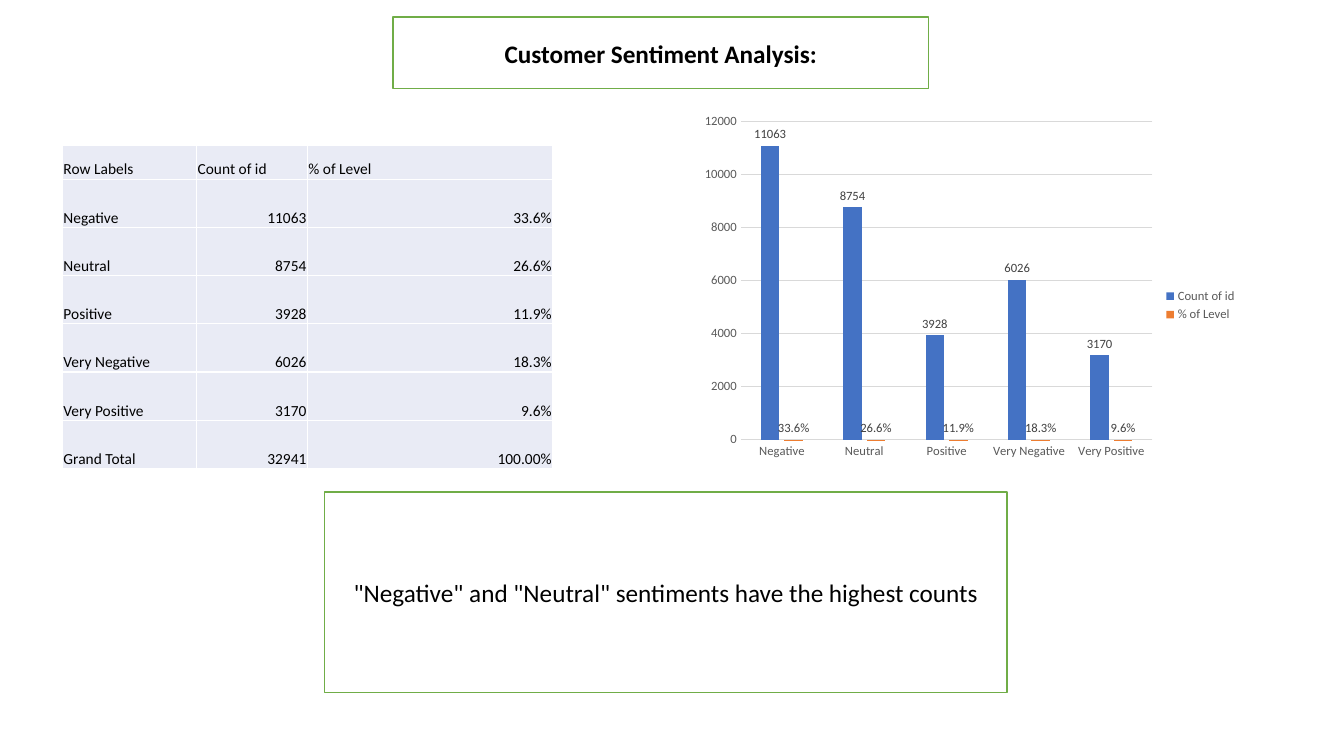
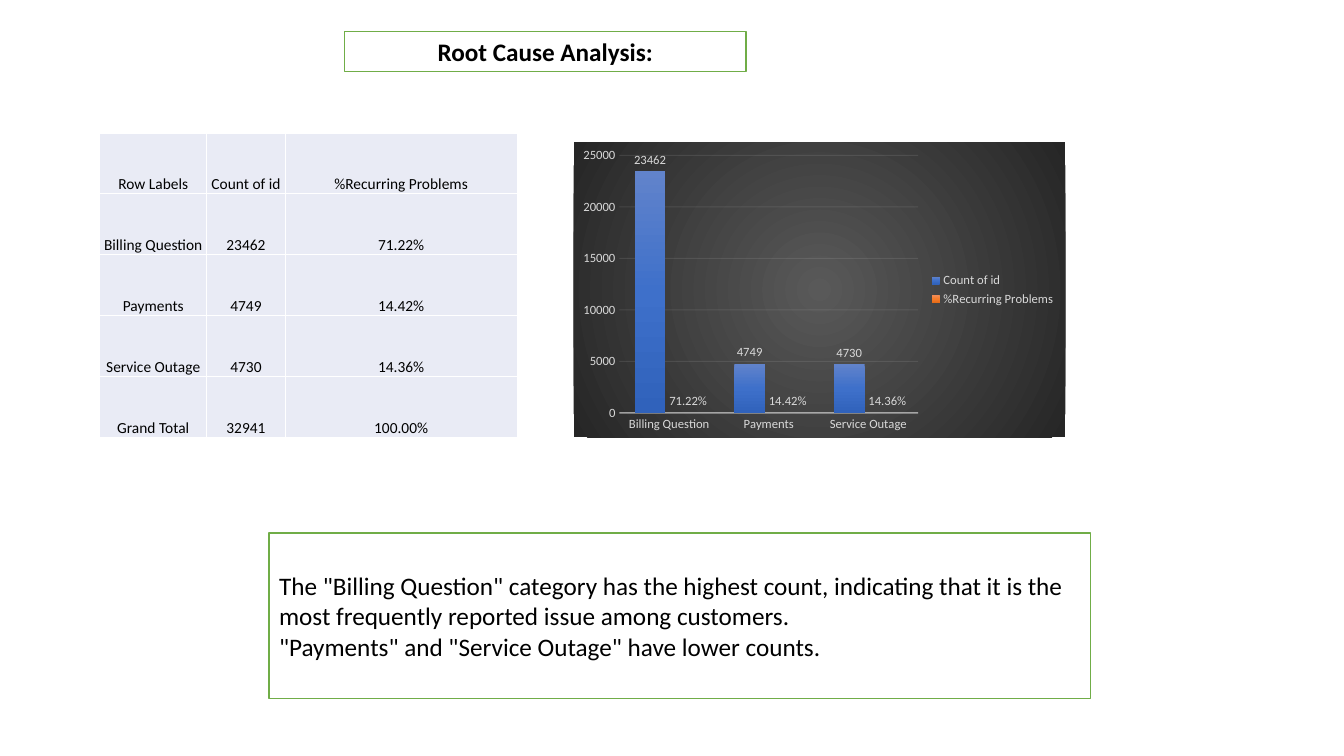
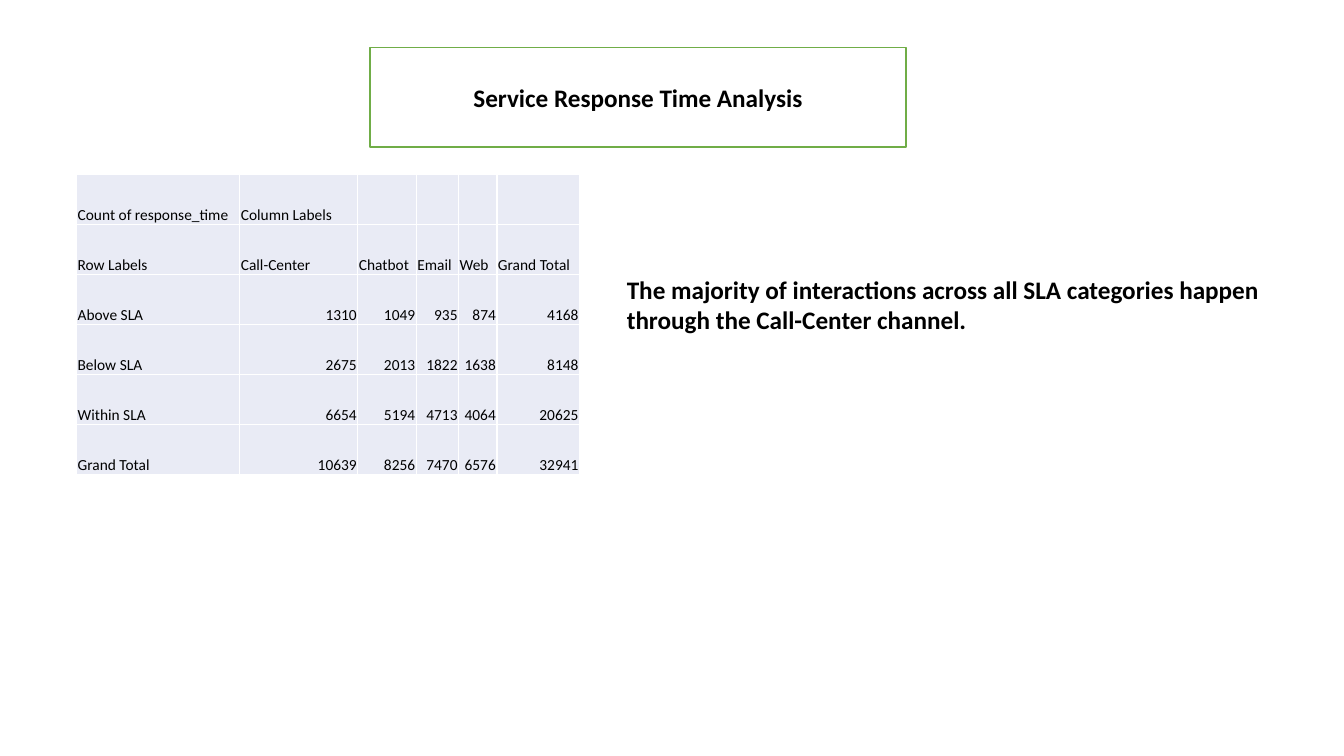
from lxml import etree
from pptx import Presentation
from pptx import util as u
from pptx.chart.data import CategoryChartData
from pptx.dml.color import RGBColor
from pptx.enum import chart as ch
from pptx.enum import shapes, text
from pptx.oxml import parse_xml
from pptx.oxml.ns import nsdecls, qn

BLACK = RGBColor(0x00, 0x00, 0x00)
WHITE = RGBColor(0xFF, 0xFF, 0xFF)
GREEN = RGBColor(0x70, 0xAD, 0x47)
PALE = RGBColor(0xE9, 0xEB, 0xF5)
BLUE = RGBColor(0x44, 0x72, 0xC4)
ORANGE = RGBColor(0xED, 0x7D, 0x31)
SILVER = RGBColor(0xD9, 0xD9, 0xD9)
MIST = RGBColor(0xF2, 0xF2, 0xF2)
SLATE = RGBColor(0x59, 0x59, 0x59)
COAL = RGBColor(0x40, 0x40, 0x40)
NIGHT = RGBColor(0x26, 0x26, 0x26)
BLUES = [RGBColor(0x61, 0x83, 0xCB), RGBColor(0x3E, 0x70, 0xCA), RGBColor(0x30, 0x62, 0xBB)]
ORANGES = [RGBColor(0xF1, 0x8C, 0x57), RGBColor(0xF6, 0x7B, 0x28), RGBColor(0xE5, 0x6C, 0x19)]

FONT = "Calibri"
LEFT, CENTER, RIGHT = text.PP_ALIGN.LEFT, text.PP_ALIGN.CENTER, text.PP_ALIGN.RIGHT

# Each look: text and label colours, axis line and grid as (colour, points, opacity)
LIGHT = dict(text=SLATE, label=COAL, axis=(SILVER, 0.75, 100), grid=(SILVER, 0.75, 100),
             fills=[BLUE, ORANGE], back=None, gap=219, overlap=-27,
             plot=(0.105, 0.024, 0.728, 0.823))
DARK = dict(text=SILVER, label=SILVER, axis=(MIST, 1, 54), grid=(MIST, 0.75, 10),
            fills=[BLUES, ORANGES], back=[SLATE, NIGHT], gap=100, overlap=-24, plot=None)


def blend(tones, round=False):
    """Gradient fill with evenly spaced stops, downwards or from the centre."""
    step = 100000 // (len(tones) - 1)
    stops = "".join(f'<a:gs pos="{i * step}"><a:srgbClr val="{tone}"/></a:gs>'
                    for i, tone in enumerate(tones))
    way = '<a:lin ang="5400000" scaled="0"/>'
    if round:
        way = ('<a:path path="circle"><a:fillToRect l="50000" t="50000" '
               'r="50000" b="50000"/></a:path>')
    return parse_xml(f'<a:gradFill {nsdecls("a")} rotWithShape="1">'
                     f'<a:gsLst>{stops}</a:gsLst>{way}</a:gradFill>')


def stroke(line, root, query, style):
    """Colour a chart line and set its opacity."""
    tone, width, alpha = style
    line.color.rgb = tone
    line.width = u.Pt(width)
    if alpha < 100:
        for node in root.xpath(query + "/c:spPr/a:ln//a:srgbClr"):
            etree.SubElement(node, qn("a:alpha")).set("val", str(alpha * 1000))


def style(font, size, tone, bold=False):
    font.name, font.size, font.bold = FONT, u.Pt(size), bold
    font.color.rgb = tone


def border(cell):
    props = cell._tc.get_or_add_tcPr()
    for i, side in enumerate(("lnL", "lnR", "lnT", "lnB")):
        props.insert(i, parse_xml(
            f'<a:{side} {nsdecls("a")} w="12700"><a:solidFill>'
            f'<a:srgbClr val="{WHITE}"/></a:solidFill></a:{side}>'))


class Deck:
    """Boxes are (left, top, width, height) in percent of the slide."""

    def __init__(self):
        self.pres = Presentation()
        self.pres.slide_width, self.pres.slide_height = u.Inches(13.333), u.Inches(7.5)
        self.slide = None

    def wide(self, share):
        return int(self.pres.slide_width * share / 100)

    def high(self, share):
        return int(self.pres.slide_height * share / 100)

    def place(self, box):
        left, top, width, height = box
        return self.wide(left), self.high(top), self.wide(width), self.high(height)

    def say(self, body, words, align=LEFT, size=18, bold=False):
        body.text = words
        for para in body.paragraphs:
            para.alignment = align
            for run in para.runs:
                style(run.font, size, BLACK, bold)

    def frame(self, shape, words, align, bold=False):
        """White panel with a green outline and text in the middle."""
        shape.fill.solid()
        shape.fill.fore_color.rgb = WHITE
        shape.line.color.rgb = GREEN
        shape.line.width = u.Pt(1)
        body = shape.text_frame
        body.word_wrap = True
        body.auto_size = text.MSO_AUTO_SIZE.NONE
        body.vertical_anchor = text.MSO_ANCHOR.MIDDLE
        self.say(body, words, align, bold=bold)

    def start(self, title, box):
        self.slide = self.pres.slides.add_slide(self.pres.slide_layouts[5])
        head = self.slide.shapes.title
        head.left, head.top, head.width, head.height = self.place(box)
        self.frame(head, title, CENTER, bold=True)

    def panel(self, words, box, align=LEFT):
        shape = self.slide.shapes.add_shape(shapes.MSO_SHAPE.RECTANGLE, *self.place(box))
        shape.shadow.inherit = False
        self.frame(shape, words, align)

    def label(self, words, box):
        body = self.slide.shapes.add_textbox(*self.place(box)).text_frame
        body.word_wrap = True
        body.auto_size = text.MSO_AUTO_SIZE.SHAPE_TO_FIT_TEXT
        self.say(body, words, bold=True)

    def table(self, data, spot, cols, rows, align=None):
        """Without an align, figures go right and words go left."""
        box = (*spot, sum(cols), sum(rows))
        grid = self.slide.shapes.add_table(len(rows), len(cols), *self.place(box)).table
        grid.first_row = grid.horz_banding = False
        for col, share in zip(grid.columns, cols):
            col.width = self.wide(share)
        for row, share, words in zip(grid.rows, rows, data):
            row.height = self.high(share)
            for cell, word in zip(row.cells, words):
                cell.fill.solid()
                cell.fill.fore_color.rgb = PALE
                border(cell)
                cell.vertical_anchor = text.MSO_ANCHOR.BOTTOM
                cell.margin_left = cell.margin_right = cell.margin_top = u.Inches(0.01)
                cell.margin_bottom = 0
                side = align or (RIGHT if word[:1].isdigit() else LEFT)
                self.say(cell.text_frame, word, side, size=11)

    def chart(self, cats, series, box, look):
        """Column chart; series holds (name, values, number format)."""
        data = CategoryChartData()
        data.categories = cats
        for name, vals, form in series:
            data.add_series(name, vals, number_format=form)
        chart = self.slide.shapes.add_chart(
            ch.XL_CHART_TYPE.COLUMN_CLUSTERED, *self.place(box), data).chart
        style(chart.font, 10, BLACK)
        chart.has_title = False
        chart.has_legend = True
        chart.legend.position = ch.XL_LEGEND_POSITION.RIGHT
        chart.legend.include_in_layout = False
        style(chart.legend.font, 9, look["text"])
        self.axes(chart, look)
        plot = chart.plots[0]
        plot.gap_width, plot.overlap = look["gap"], look["overlap"]
        plot.vary_by_categories = False
        for bars, fill, (_, _, form) in zip(plot.series, look["fills"], series):
            if isinstance(fill, list):
                bars.format.fill.background()
                props = bars.format.fill._xPr
                props.replace(props.find(qn("a:noFill")), blend(fill))
            else:
                bars.format.fill.solid()
                bars.format.fill.fore_color.rgb = fill
            bars.invert_if_negative = False
            marks = bars.data_labels
            marks.show_value = True
            marks.position = ch.XL_LABEL_POSITION.OUTSIDE_END
            marks.number_format, marks.number_format_is_linked = form, False
            style(marks.font, 9, look["label"])
        root = chart._chartSpace
        if look["back"]:
            back = parse_xml(f'<c:spPr {nsdecls("c", "a")}/>')
            back.append(blend(look["back"], round=True))
            root.find(qn("c:chart")).addnext(back)
        if look["plot"]:
            self.pin(root.xpath("c:chart/c:plotArea")[0], look["plot"])

    def axes(self, chart, look):
        cat, val = chart.category_axis, chart.value_axis
        for axis in (cat, val):
            axis.major_tick_mark = axis.minor_tick_mark = ch.XL_TICK_MARK.NONE
            style(axis.tick_labels.font, 9, look["text"])
        val.tick_labels.number_format = "General"
        val.tick_labels.number_format_is_linked = False
        val.format.line.fill.background()
        val.has_major_gridlines = True
        root = chart._chartSpace
        stroke(cat.format.line, root, ".//c:catAx", look["axis"])
        stroke(val.major_gridlines.format.line, root, ".//c:majorGridlines", look["grid"])

    def pin(self, area, spots):
        """Fix the inner plot area as shares of the chart."""
        for old in area.findall(qn("c:layout")):
            area.remove(old)
        tags = [("layoutTarget", "inner"), ("xMode", "edge"), ("yMode", "edge")]
        tags += zip("xywh", spots)
        inner = "".join(f'<c:{tag} val="{val}"/>' for tag, val in tags)
        area.insert(0, parse_xml(f'<c:layout {nsdecls("c")}><c:manualLayout>{inner}'
                                 '</c:manualLayout></c:layout>'))


def mood(deck):
    deck.start("Customer Sentiment Analysis:", (29.25, 2.27, 39.83, 9.47))
    cats = ["Negative", "Neutral", "Positive", "Very Negative", "Very Positive"]
    counts = [11063, 8754, 3928, 6026, 3170]
    parts = [0.336, 0.266, 0.119, 0.183, 0.096]
    deck.chart(cats, [("Count of id", counts, "General"), ("% of Level", parts, "0.0%")],
               (50.7, 14.8, 42.08, 51.2), LIGHT)
    rows = [(cat, str(num), f"{part:.1%}") for cat, num, part in zip(cats, counts, parts)]
    deck.table([("Row Labels", "Count of id", "% of Level"), *rows,
                ("Grand Total", str(sum(counts)), "100.00%")],
               (4.65, 19.2), [9.98, 8.25, 18.25], [4.5] + [6.38] * 6)
    deck.panel('"Negative" and "Neutral" sentiments have the highest counts',
               (24.15, 65.07, 50.78, 26.53), CENTER)


def cause(deck):
    deck.start("Root Cause Analysis:", (25.65, 4.13, 29.85, 5.33))
    cats = ["Billing Question", "Payments", "Service Outage"]
    counts = [23462, 4749, 4730]
    parts = [0.7122, 0.1442, 0.1436]
    rows = [(cat, str(num), f"{part:.2%}") for cat, num, part in zip(cats, counts, parts)]
    deck.table([("Row Labels", "Count of id", "%Recurring Problems"), *rows,
                ("Grand Total", str(sum(counts)), "100.00%")],
               (7.43, 17.6), [7.95, 5.85, 17.25], [8.05] * 5, CENTER)
    deck.chart(cats, [("Count of id", counts, "General"),
                      ("%Recurring Problems", parts, "0.00%")],
               (42.68, 18.8, 36.6, 39.07), DARK)
    deck.panel('The "Billing Question" category has the highest count, indicating that it is '
               'the most frequently reported issue among customers.\n'
               '"Payments" and "Service Outage" have lower counts.',
               (20.03, 70.53, 61.13, 21.87))


def speed(deck):
    deck.start("Service Response Time Analysis", (27.53, 6.27, 39.9, 13.2))
    deck.table([("Count of response_time", "Column Labels", "", "", "", ""),
                ("Row Labels", "Call-Center", "Chatbot", "Email", "Web", "Grand Total"),
                ("Above SLA", "1310", "1049", "935", "874", "4168"),
                ("Below SLA", "2675", "2013", "1822", "1638", "8148"),
                ("Within SLA", "6654", "5194", "4713", "4064", "20625"),
                ("Grand Total", "10639", "8256", "7470", "6576", "32941")],
               (5.7, 23.1), [12.15, 8.78, 4.35, 3.15, 2.85, 6.15], [6.62] * 6)
    deck.label("The majority of interactions across all SLA categories happen through "
               "the Call-Center channel.", (45.9, 35.6, 50.03, 9.47))


def main():
    deck = Deck()
    for build in (mood, cause, speed):
        build(deck)
    deck.pres.save("out.pptx")


if __name__ == "__main__":
    main()
